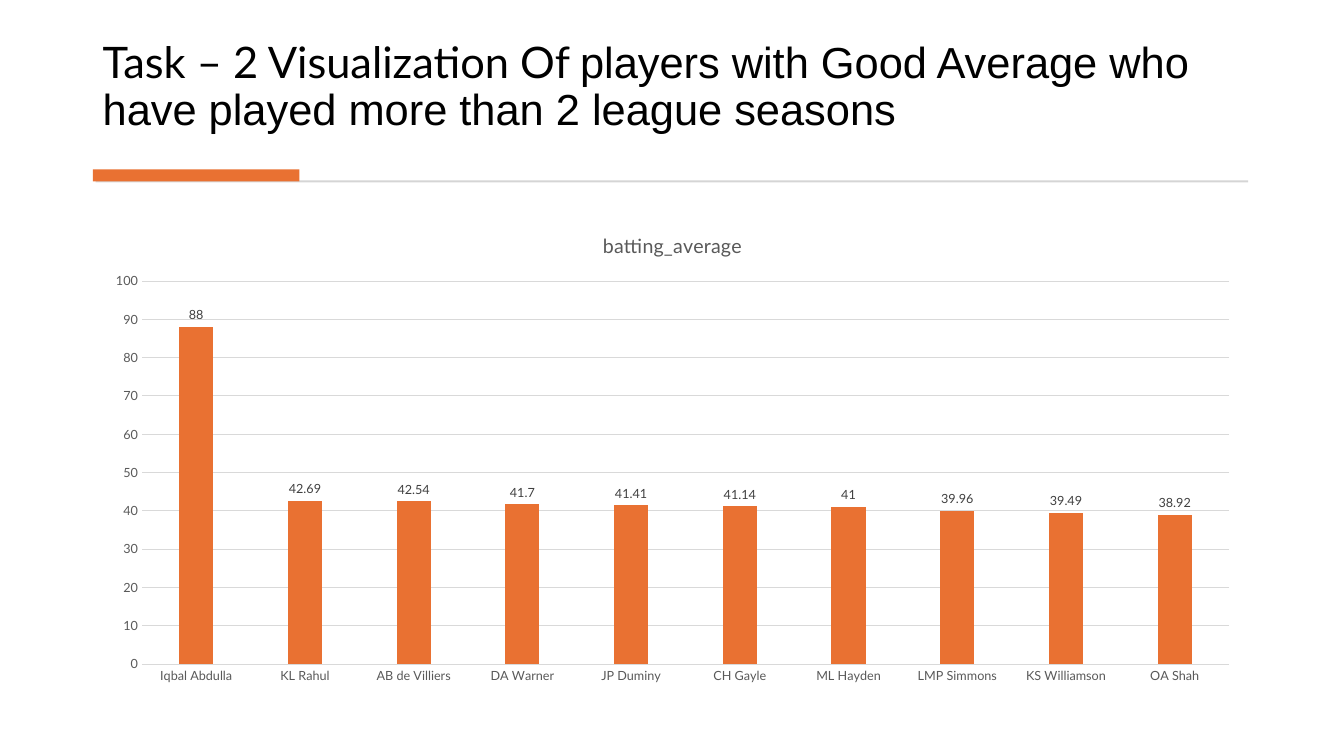
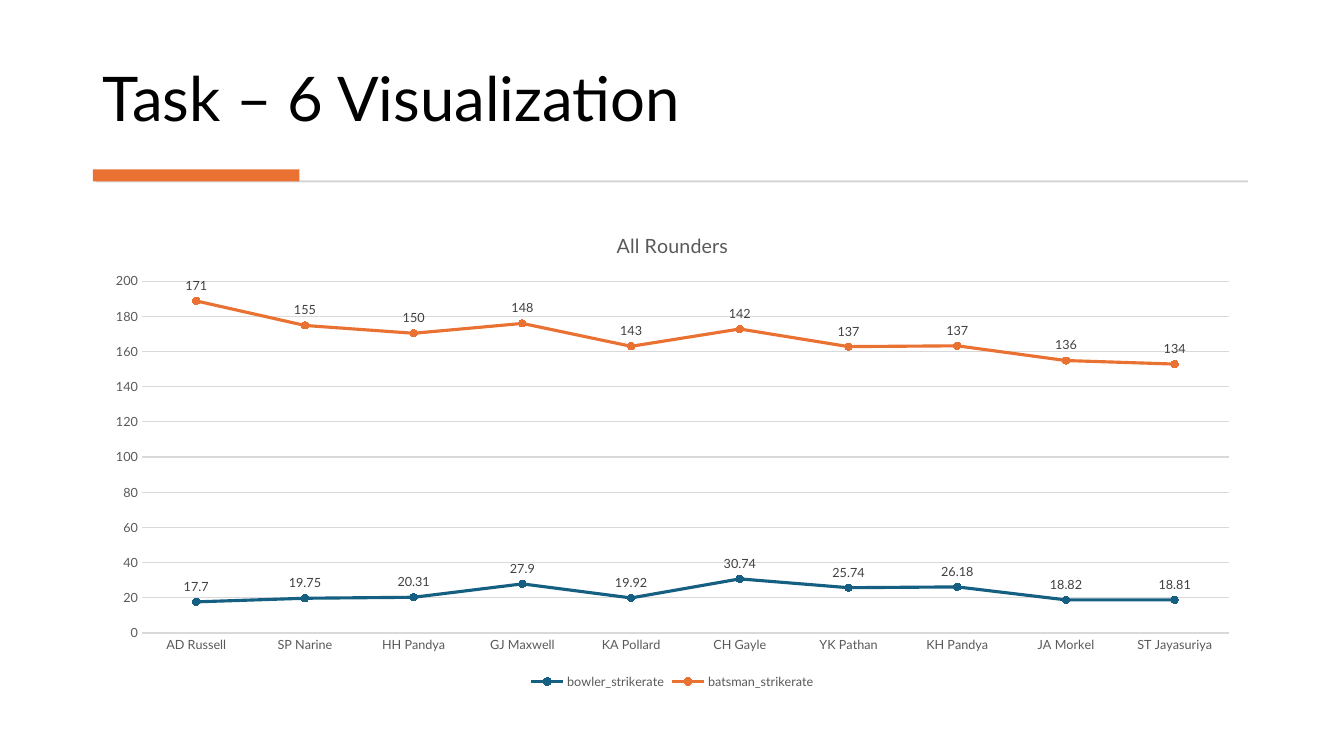
"""Build two cricket statistics slides, each with a title, a rule and a chart."""
from pptx import Presentation
from pptx.chart.data import CategoryChartData
from pptx.dml.color import RGBColor
from pptx.enum.chart import (XL_CHART_TYPE, XL_LABEL_POSITION, XL_LEGEND_POSITION,
                             XL_MARKER_STYLE, XL_TICK_MARK)
from pptx.enum.shapes import MSO_SHAPE
from pptx.enum.text import MSO_ANCHOR
from pptx.util import Inches, Pt

BLACK = RGBColor(0x00, 0x00, 0x00)
DARK_GREY = RGBColor(0x40, 0x40, 0x40)
TEXT_GREY = RGBColor(0x59, 0x59, 0x59)
RULE_GREY = RGBColor(0xD5, 0xD5, 0xD5)
GRID_GREY = RGBColor(0xD9, 0xD9, 0xD9)
ORANGE = RGBColor(0xE9, 0x71, 0x32)
BLUE = RGBColor(0x15, 0x60, 0x82)
FONT = "Lato"

SLIDES = [
    {
        "title": [("Task – 2 Visualization Of ", FONT),
                  ("players with Good Average who have played more than 2 league seasons", "Arial")],
        "title_size": 31,
        "chart_title": "batting_average",
        "type": XL_CHART_TYPE.COLUMN_CLUSTERED,
        "axis_top": 100,
        "axis_step": 10,
        "categories": ["Iqbal Abdulla", "KL Rahul", "AB de Villiers", "DA Warner", "JP Duminy",
                       "CH Gayle", "ML Hayden", "LMP Simmons", "KS Williamson", "OA Shah"],
        "series": [("batting_average", ORANGE,
                    [88, 42.69, 42.54, 41.7, 41.41, 41.14, 41, 39.96, 39.49, 38.92])],
    },
    {
        "title": [("Task – 6 Visualization", FONT)],
        "title_size": 44,
        "chart_title": "All Rounders",
        "type": XL_CHART_TYPE.LINE_MARKERS_STACKED,
        "axis_top": 200,
        "axis_step": 20,
        "categories": ["AD Russell", "SP Narine", "HH Pandya", "GJ Maxwell", "KA Pollard",
                       "CH Gayle", "YK Pathan", "KH Pandya", "JA Morkel", "ST Jayasuriya"],
        "series": [("bowler_strikerate", BLUE,
                    [17.7, 19.75, 20.31, 27.9, 19.92, 30.74, 25.74, 26.18, 18.82, 18.81]),
                   ("batsman_strikerate", ORANGE,
                    [171, 155, 150, 148, 143, 142, 137, 137, 136, 134])],
    },
]


def inches(*lengths):
    return [Inches(length) for length in lengths]


def set_font(font, size, color, name=FONT):
    font.size, font.name, font.bold = Pt(size), name, False
    font.color.rgb = color


def set_line(line, color, width):
    line.color.rgb = color
    line.width = Pt(width)


def add_title(page, spans, size):
    frame = page.shapes.add_textbox(*inches(0.92, 0.28, 11.49, 1.11)).text_frame
    frame.word_wrap = True
    frame.vertical_anchor = MSO_ANCHOR.BOTTOM
    para = frame.paragraphs[0]
    para.line_spacing = 0.9
    for text, name in spans:
        span = para.add_run()
        span.text = text
        set_font(span.font, size, BLACK, name)


def add_band(page, color, *place):
    band = page.shapes.add_shape(MSO_SHAPE.RECTANGLE, *inches(*place))
    band.shadow.inherit = False
    band.fill.solid()
    band.fill.fore_color.rgb = color
    band.line.fill.background()


def style_axes(chart, top, step):
    for axis in (chart.category_axis, chart.value_axis):
        axis.major_tick_mark = axis.minor_tick_mark = XL_TICK_MARK.NONE
        set_font(axis.tick_labels.font, 9, TEXT_GREY)
    set_line(chart.category_axis.format.line, GRID_GREY, 0.75)
    values = chart.value_axis
    values.minimum_scale, values.maximum_scale, values.major_unit = 0, top, step
    values.format.line.fill.background()
    set_line(values.major_gridlines.format.line, GRID_GREY, 0.75)


def style_series(series, color, is_column):
    if is_column:
        series.format.fill.solid()
        series.format.fill.fore_color.rgb = color
    else:
        series.smooth = False
        set_line(series.format.line, color, 2.25)
        marker = series.marker
        marker.style, marker.size = XL_MARKER_STYLE.CIRCLE, 5
        marker.format.fill.solid()
        marker.format.fill.fore_color.rgb = color
        set_line(marker.format.line, color, 0.75)
    labels = series.data_labels
    labels.show_value = True
    labels.position = XL_LABEL_POSITION.OUTSIDE_END if is_column else XL_LABEL_POSITION.ABOVE
    set_font(labels.font, 9, DARK_GREY)


def add_chart(page, content):
    data = CategoryChartData()
    data.categories = content["categories"]
    for name, _, values in content["series"]:
        data.add_series(name, values)
    chart = page.shapes.add_chart(content["type"], *inches(0.92, 2.11, 11.5, 4.77), data).chart
    set_font(chart.font, 10, BLACK)
    chart.has_title = True
    title = chart.chart_title
    title.include_in_layout = False
    title.text_frame.text = content["chart_title"]
    set_font(title.text_frame.paragraphs[0].font, 14, TEXT_GREY)
    style_axes(chart, content["axis_top"], content["axis_step"])

    is_column = content["type"] == XL_CHART_TYPE.COLUMN_CLUSTERED
    plot = chart.plots[0]
    plot.vary_by_categories = False
    if is_column:
        plot.gap_width, plot.overlap = 219, -27
    for series, (_, color, _) in zip(plot.series, content["series"]):
        style_series(series, color, is_column)

    chart.has_legend = len(content["series"]) > 1
    if chart.has_legend:
        chart.legend.position = XL_LEGEND_POSITION.BOTTOM
        chart.legend.include_in_layout = False
        set_font(chart.legend.font, 9, TEXT_GREY)


def main():
    deck = Presentation()
    deck.slide_width, deck.slide_height = inches(13.33, 7.5)
    for content in SLIDES:
        page = deck.slides.add_slide(deck.slide_layouts[6])
        add_title(page, content["title"], content["title_size"])
        add_band(page, RULE_GREY, 0.95, 1.79, 11.43, 0.02)
        add_band(page, ORANGE, 0.92, 1.68, 2.05, 0.12)
        add_chart(page, content)
    deck.save("out.pptx")


if __name__ == "__main__":
    main()
